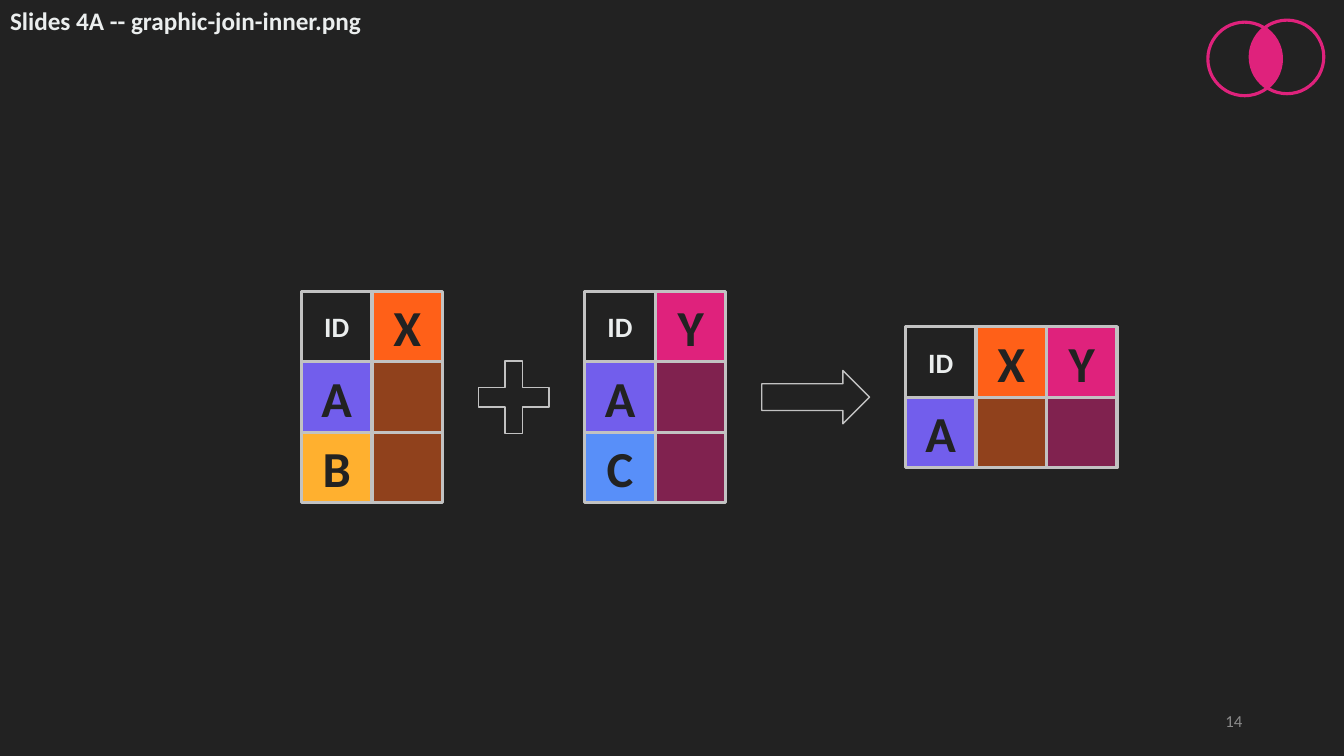
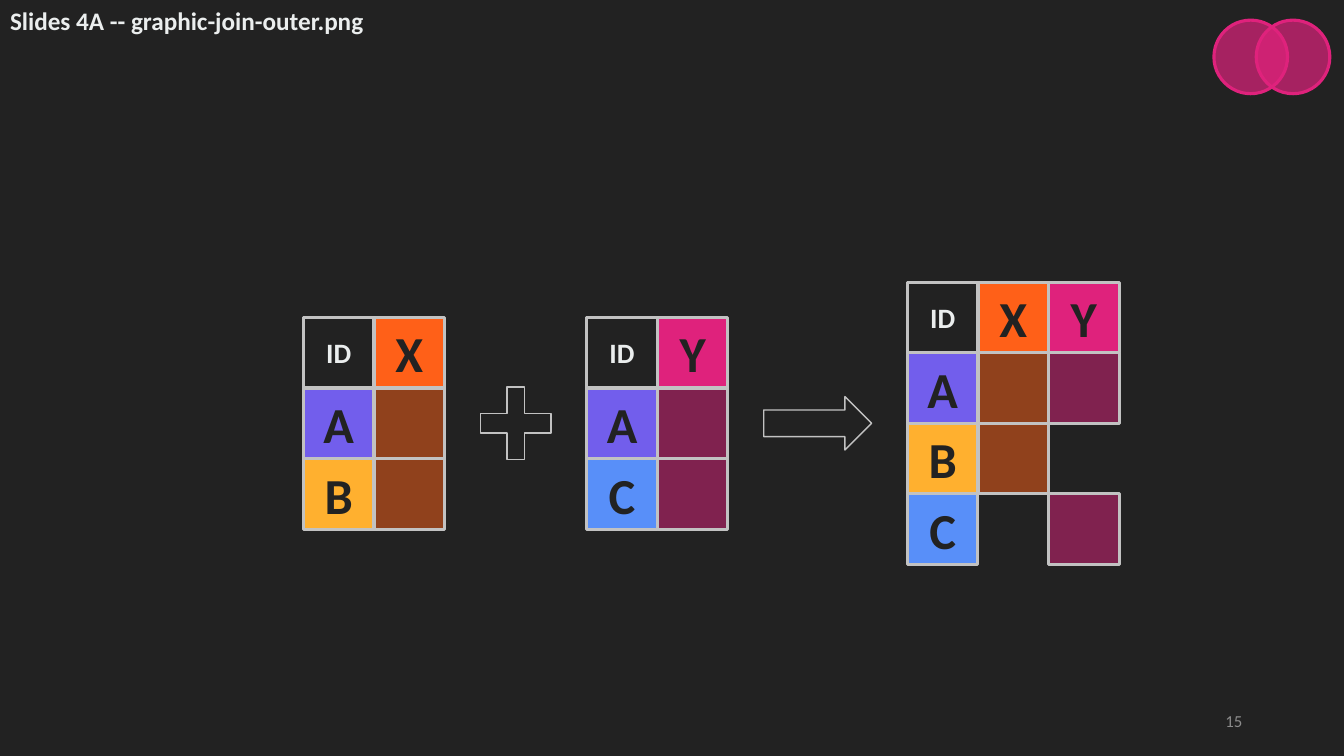
from dataclasses import dataclass
from math import acos, atan2, cos, hypot, pi, sin

from lxml import etree
from pptx import Presentation
from pptx.dml.color import RGBColor
from pptx.enum.shapes import MSO_SHAPE
from pptx.enum.text import MSO_ANCHOR, MSO_AUTO_SIZE, PP_ALIGN
from pptx.oxml.ns import qn
from pptx.util import Inches, Pt

RECT, OVAL = MSO_SHAPE.RECTANGLE, MSO_SHAPE.OVAL
PLUS, ARROW = MSO_SHAPE.CROSS, MSO_SHAPE.RIGHT_ARROW
LEFT, CENTER, RIGHT = PP_ALIGN.LEFT, PP_ALIGN.CENTER, PP_ALIGN.RIGHT
TOP, MIDDLE = MSO_ANCHOR.TOP, MSO_ANCHOR.MIDDLE
TITLE_ONLY = 5


@dataclass(frozen=True)
class Theme:
    font: str = "Calibri"
    background: str = "222222"
    light: str = "EBEEEE"
    muted: str = "8C8C8C"
    border: str = "C2C2C2"
    accent: str = "DF227C"
    title_size: float = 18
    key_size: float = 36
    id_size: float = 20
    number_size: float = 12
    thick: float = 2.25
    thin: float = 1


THEME = Theme()

# Fill of each labelled cell; a lower-case column name is a value cell
KEY_FILLS = {"ID": THEME.background, "X": "FF6018", "Y": THEME.accent,
             "A": "725EEC", "B": "FFB02F", "C": "588FF9"}
VALUE_OPACITY = 50
CIRCLE_OPACITY = 70

# Sizes in inches
SLIDE_W, SLIDE_H = 13.33, 7.5
CELL = 0.7
PLUS_W, PLUS_H, PLUS_ARM = 0.7, 0.72, 0.377
ARROW_W, ARROW_H = 1.07, 0.53
CIRCLE = 0.73
FLOW_W = 8.09

LEFT_TABLE = [("ID", "X"), ("A", "x"), ("B", "x")]
RIGHT_TABLE = [("ID", "Y"), ("A", "y"), ("C", "y")]
INNER_RESULT = [("ID", "X", "Y"), ("A", "x", "y")]
OUTER_RESULT = [("ID", "X", "Y"), ("A", "x", "y"),
                ("B", "x", None), ("C", None, "y")]


def rgb(color):
    return RGBColor.from_string(color)


def style_text(frame, size, color, align, anchor, bold=True):
    frame.vertical_anchor = anchor
    frame.word_wrap = True
    frame.auto_size = MSO_AUTO_SIZE.NONE
    for paragraph in frame.paragraphs:
        paragraph.alignment = align
        for run in paragraph.runs:
            run.font.name = THEME.font
            run.font.size = Pt(size)
            run.font.bold = bold
            run.font.color.rgb = rgb(color)


def paint(shape, fill, line, width, opacity=100):
    """Set fill, outline and opacity; a fill of None stays empty."""
    shape.shadow.inherit = False
    shape.line.color.rgb = rgb(line)
    shape.line.width = Pt(width)
    if fill is None:
        shape.fill.background()
        return
    shape.fill.solid()
    shape.fill.fore_color.rgb = rgb(fill)
    if opacity < 100:
        color = shape.fill._xPr.find(qn("a:solidFill"))[0]
        etree.SubElement(color, qn("a:alpha")).set("val", str(opacity * 1000))


def add_part(group, preset, x, y, w, h):
    return group.shapes.add_shape(preset, Inches(x), Inches(y), Inches(w), Inches(h))


# Key table: a grid of cells, centred on a horizontal axis
def draw_table(group, rows, x, axis):
    top = axis - len(rows) * CELL / 2
    for r, row in enumerate(rows):
        for c, label in enumerate(row):
            if label is None:
                continue
            cell = add_part(group, RECT, x + c * CELL, top + r * CELL, CELL, CELL)
            if label.islower():
                paint(cell, KEY_FILLS[label.upper()], THEME.border, THEME.thick,
                      VALUE_OPACITY)
                continue
            paint(cell, KEY_FILLS[label], THEME.border, THEME.thick)
            is_id = label == "ID"
            cell.text_frame.text = label
            style_text(cell.text_frame, THEME.id_size if is_id else THEME.key_size,
                       THEME.light if is_id else THEME.background, CENTER, MIDDLE)


def draw_sign(group, preset, x, axis, w, h):
    sign = add_part(group, preset, x, axis - h / 2, w, h)
    paint(sign, THEME.background, THEME.border, THEME.thin)
    return sign


# Join equation: table + table -> result, spread over the width by equal gaps
def draw_join(slide, result, x, axis):
    group = slide.shapes.add_group_shape()
    widths = [len(LEFT_TABLE[0]) * CELL, PLUS_W, len(RIGHT_TABLE[0]) * CELL,
              ARROW_W, len(result[0]) * CELL]
    gap = (FLOW_W - sum(widths)) / (len(widths) - 1)
    starts = [x + sum(widths[:i]) + i * gap for i in range(len(widths))]
    draw_table(group, LEFT_TABLE, starts[0], axis)
    plus = draw_sign(group, PLUS, starts[1], axis, PLUS_W, PLUS_H)
    plus.adjustments[0] = PLUS_ARM
    draw_table(group, RIGHT_TABLE, starts[2], axis)
    draw_sign(group, ARROW, starts[3], axis, ARROW_W, ARROW_H)
    draw_table(group, result, starts[4], axis)


# Overlap of two circles, traced as two arcs
def draw_lens(group, corners):
    radius = CIRCLE / 2
    (ax, ay), (bx, by) = [(x + radius, y + radius) for x, y in corners]
    heading = atan2(by - ay, bx - ax)
    spread = acos(hypot(bx - ax, by - ay) / CIRCLE)
    steps = 24
    points = []
    for cx, cy, middle in ((ax, ay, heading), (bx, by, heading + pi)):
        for i in range(steps + 1):
            angle = middle - spread + 2 * spread * i / steps
            points.append((Inches(cx + radius * cos(angle)),
                           Inches(cy + radius * sin(angle))))
    builder = group.shapes.build_freeform(*points[0])
    builder.add_line_segments(points[1:], close=True)
    paint(builder.convert_to_shape(), THEME.accent, THEME.accent, THEME.thin)


# Join emblem: two overlapping circles
def draw_emblem(slide, corners, fills, lens):
    group = slide.shapes.add_group_shape()
    for (x, y), fill in zip(corners, fills):
        circle = add_part(group, OVAL, x, y, CIRCLE, CIRCLE)
        paint(circle, fill, THEME.accent, THEME.thick, CIRCLE_OPACITY)
    if lens:
        draw_lens(group, corners)


# Title and page number shared by all slides
def add_base_slide(prs, title, number):
    slide = prs.slides.add_slide(prs.slide_layouts[TITLE_ONLY])
    heading = slide.shapes.title
    heading.left, heading.top = 0, 0
    heading.width, heading.height = Inches(6.28), Inches(0.4)
    heading.text_frame.text = title
    style_text(heading.text_frame, THEME.title_size, THEME.light, LEFT, TOP)
    page = slide.shapes.add_textbox(Inches(9.42), Inches(6.95), Inches(3), Inches(0.4))
    page.text_frame.text = str(number)
    style_text(page.text_frame, THEME.number_size, THEME.muted, RIGHT, MIDDLE, bold=False)
    return slide


def add_inner_join(prs):
    slide = add_base_slide(prs, "Slides 4A -- graphic-join-inner.png", 14)
    draw_join(slide, INNER_RESULT, 2.99, 3.94)
    draw_emblem(slide, [(11.98, 0.22), (12.4, 0.2)], (THEME.background, None), lens=True)


def add_outer_join(prs):
    slide = add_base_slide(prs, "Slides 4A -- graphic-join-outer.png", 15)
    draw_join(slide, OUTER_RESULT, 3.01, 4.2)
    draw_emblem(slide, [(12.04, 0.2), (12.46, 0.2)], (THEME.accent,) * 2, lens=False)


def main():
    prs = Presentation()
    prs.slide_width, prs.slide_height = Inches(SLIDE_W), Inches(SLIDE_H)
    backdrop = prs.slide_master.background.fill
    backdrop.solid()
    backdrop.fore_color.rgb = rgb(THEME.background)
    add_inner_join(prs)
    add_outer_join(prs)
    prs.save("out.pptx")


if __name__ == "__main__":
    main()
